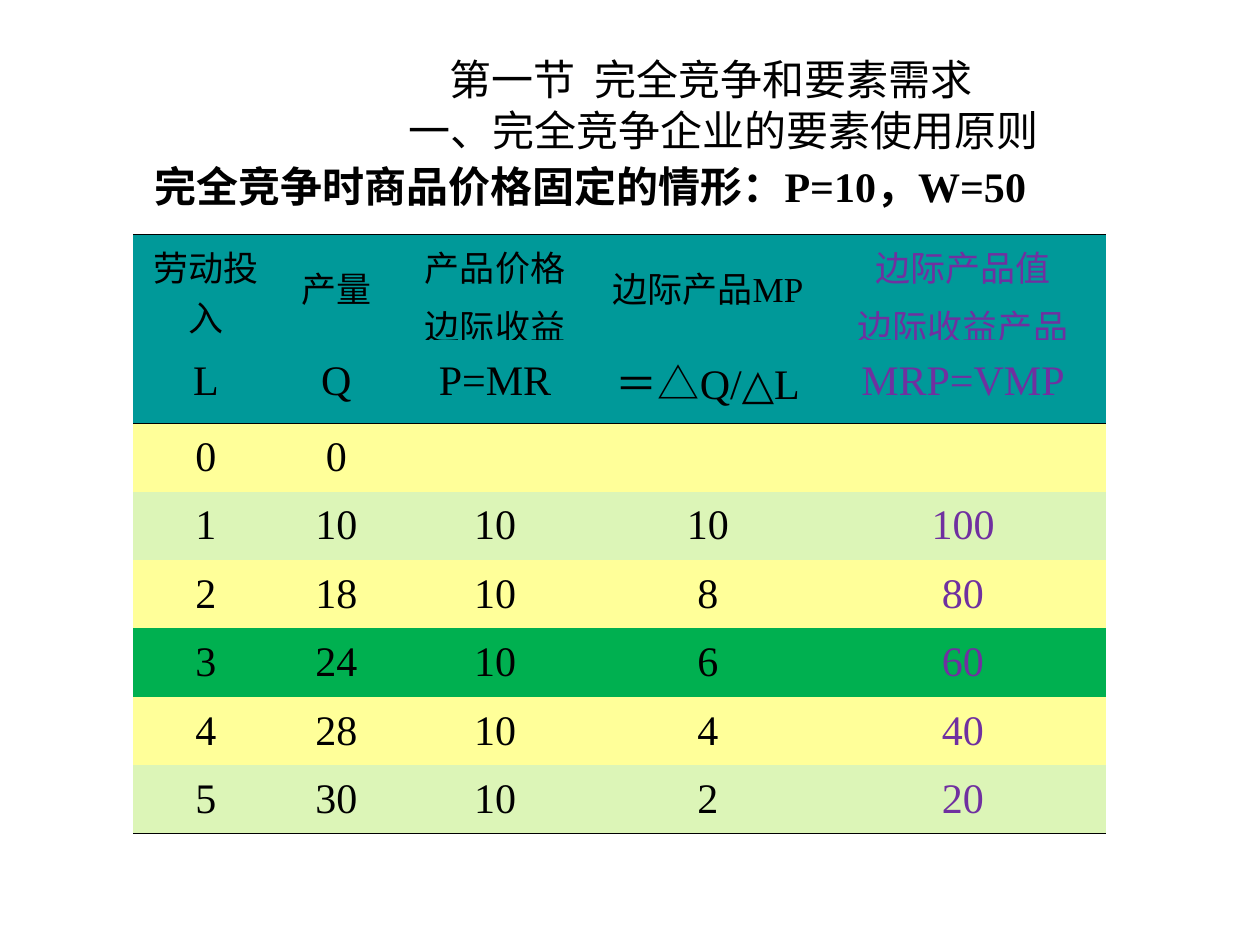
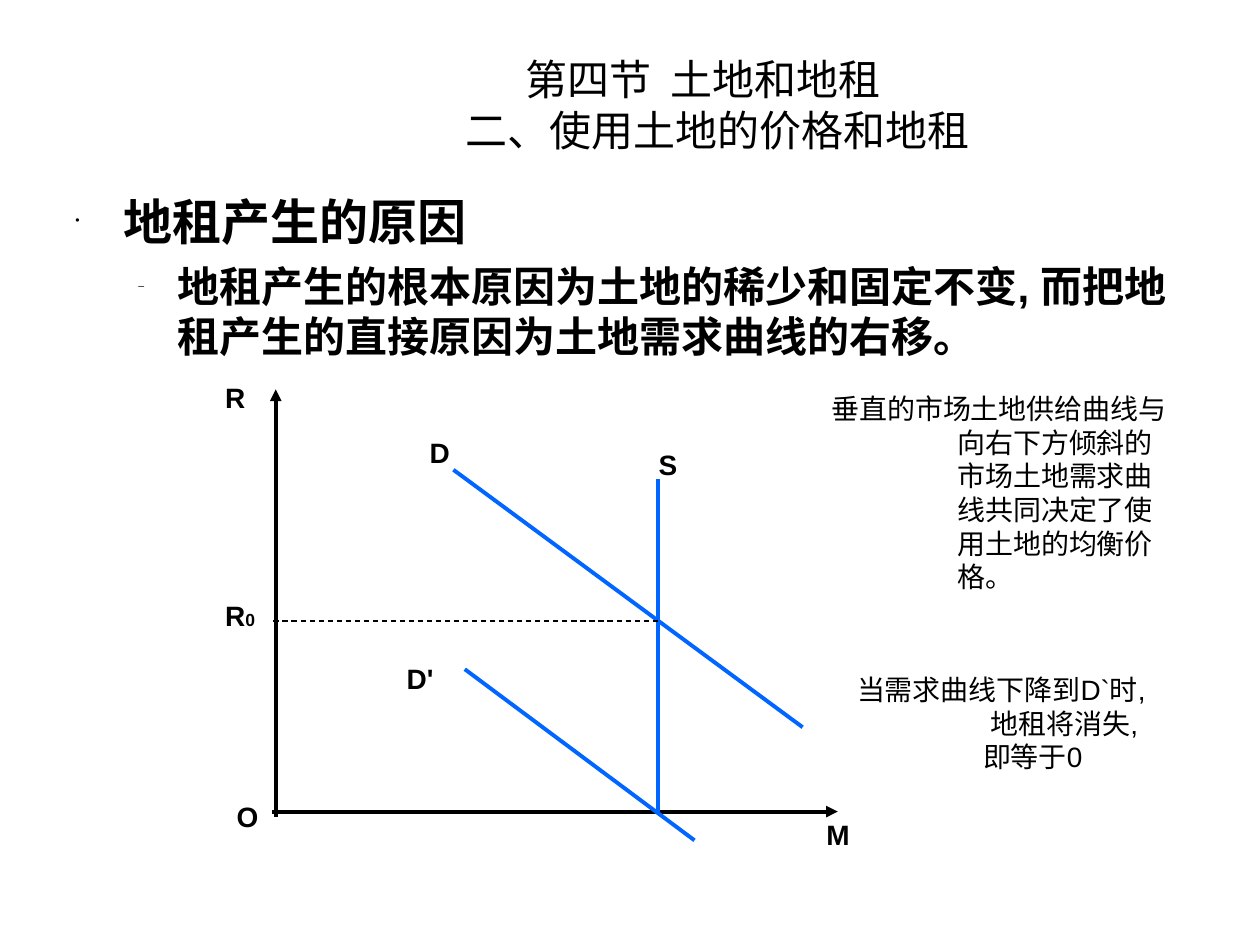
from pptx import Presentation
from pptx.dml.color import RGBColor
from pptx.enum.dml import MSO_LINE
from pptx.enum.shapes import MSO_CONNECTOR, MSO_SHAPE
from pptx.enum.text import MSO_ANCHOR, PP_ALIGN
from pptx.oxml.ns import qn
from pptx.util import Cm, Pt
from lxml.etree import SubElement

HUES = {
    "ink": "000000", "paper": "FFFFFF", "teal": "009999", "plum": "7030A0",
    "cream": "FFFF99", "mint": "DCF5B7", "green": "00B050", "blue": "0066FF",
}
SANS, SERIF, HAN = "Arial", "Times New Roman", "Noto Sans CJK SC"

TITLES = [
    [("第一节  完全竞争和要素需求", 7.54), ("一、完全竞争企业的要素使用原则", 6.71)],
    [("第四节  土地和地租", 9.07), ("二、使用土地的价格和地租", 7.87)],
]

CASE = "完全竞争时商品价格固定的情形：P=10，W=50"
HEADS = [
    ["劳动投入", "产量", "产品价格\n边际收益", "边际产品MP", "边际产品值\n边际收益产品"],
    ["L", "Q", "P=MR", "＝△Q/△L", "MRP=VMP"],
]
PRICE = 10
YIELDS = [0, 10, 18, 24, 28, 30]
BEST = 3
WIDTHS = [2.92, 2.34, 4.06, 4.52, 5.77]
TALLS = [2.13, 1.68] + [1.38] * len(YIELDS)

POINTS = [
    ("地租产生的原因", 28, 7, 0.97, -0.97, "•"),
    ("地租产生的根本原因为土地的稀少和固定不变, 而把地租产生的直接原因为土地需求曲线的右移。",
     24, 6, 2.06, -0.79, "–"),
]
LINES = [
    ((5.56, 16.46), (5.56, 7.85), "ink", 2.25, "arrow"),
    ((5.49, 16.36), (16.89, 16.36), "ink", 2.25, "arrow"),
    ((13.26, 9.65), (13.26, 16.36), "blue", 2.25, None),
    ((9.14, 9.47), (16.18, 14.66), "blue", 2.25, None),
    ((9.37, 13.49), (14, 16.94), "blue", 2.25, None),
    ((13.26, 12.52), (5.49, 12.52), "ink", 0.75, "dash"),
]
LABELS = [
    ("R", "", 4.29, 7.54), ("R", "0", 4.29, 11.94), ("O", "", 4.52, 16),
    ("M", "", 16.41, 16.36), ("S", "", 13.03, 8.89), ("D", "", 8.41, 8.66),
    ("D'", "", 7.95, 13.21),
]
NOTES = [
    ("垂直的市场土地供给曲线与向右下方倾斜的市场土地需求曲线共同决定了使用土地的均衡价格。",
     (16.28, 7.54, 7.92, 4.67), (-0.77, 0.46, 0.17)),
    ("当需求曲线下降到D`时, 地租将消失, 即等于0",
     (16.87, 13.28, 6.55, 3.2), (-1.02, 0.41, 0.17)),
]


def tint(name):
    return RGBColor.from_string(HUES[name])


def style(para, size, face=SANS, hue="ink", bold=False):
    for run in para.runs:
        font = run.font
        font.size, font.name, font.bold = Pt(size), face, bold
        font.color.rgb = tint(hue)
        SubElement(run._r.get_or_add_rPr(), qn("a:ea")).set("typeface", HAN)


def indent(para, left, first):
    props = para._p.get_or_add_pPr()
    props.set("marL", str(Cm(left)))
    props.set("indent", str(Cm(first)))
    return props


def textbox(slide, left, top, width, height):
    frame = slide.shapes.add_textbox(Cm(left), Cm(top), Cm(width), Cm(height)).text_frame
    frame.word_wrap = True
    return frame


def title(slide, rows):
    frame = textbox(slide, 1.27, 0.91, 22.86, 2.39)
    frame.vertical_anchor = MSO_ANCHOR.MIDDLE
    frame.text = "\n".join(text for text, left in rows)
    for para, (text, left) in zip(frame.paragraphs, rows):
        indent(para, left, 0)
        style(para, 24, HAN)


def edges(cell, top, base):
    props = cell._tc.get_or_add_tcPr()
    for spot, (side, width) in enumerate(zip("LRTB", (0, 0, top, base))):
        line = props.makeelement(qn("a:ln" + side), {"w": str(Pt(width))})
        props.insert(spot, line)
        if width:
            fill = SubElement(line, qn("a:solidFill"))
            SubElement(fill, qn("a:srgbClr")).set("val", HUES["ink"])
        else:
            SubElement(line, qn("a:noFill"))


def grid_rows():
    rows = HEADS + [[0, YIELDS[0], "", "", ""]]
    for count in range(1, len(YIELDS)):
        gain = YIELDS[count] - YIELDS[count - 1]
        rows.append([count, YIELDS[count], PRICE, gain, PRICE * gain])
    return rows


def row_hue(row):
    if row < len(HEADS):
        return "teal"
    count = row - len(HEADS)
    return "green" if count == BEST else ("cream", "mint")[count % 2]


def table(slide):
    rows = grid_rows()
    frame = slide.shapes.add_table(len(rows), len(WIDTHS), Cm(2.69), Cm(4.72),
                                   Cm(sum(WIDTHS)), Cm(sum(TALLS)))
    grid = frame.table
    grid.first_row = grid.horz_banding = False
    for col, width in zip(grid.columns, WIDTHS):
        col.width = Cm(width)
    for row, tall in zip(grid.rows, TALLS):
        row.height = Cm(tall)
    tops = {0: 0.45, 2: 0.45}
    bases = {1: 0.45, len(rows) - 1: 1.08}
    for r, values in enumerate(rows):
        for c, value in enumerate(values):
            cell = grid.cell(r, c)
            cell.text_frame.text = str(value)
            cell.vertical_anchor = MSO_ANCHOR.MIDDLE
            cell.fill.solid()
            cell.fill.fore_color.rgb = tint(row_hue(r))
            edges(cell, tops.get(r, 0), bases.get(r, 0))
            for para in cell.text_frame.paragraphs:
                para.alignment = PP_ALIGN.CENTER
                para.space_before = Pt(6 if r else 5)
                style(para, 24 if r else 20, SERIF, "plum" if c == 4 else "ink")


def case(slide):
    frame = textbox(slide, 1.5, 3.12, 20.8, 1.27)
    frame.text = CASE
    para = frame.paragraphs[0]
    para.alignment = PP_ALIGN.CENTER
    para.space_before = Pt(6)
    indent(para, 2.54, -2.54)
    style(para, 24, SERIF, bold=True)


def points(slide):
    frame = textbox(slide, 1.27, 3.73, 22.86, 13.28)
    frame.text = "\n".join(point[0] for point in POINTS)
    for para, (text, size, gap, left, first, mark) in zip(frame.paragraphs, POINTS):
        para.space_before = Pt(gap)
        props = indent(para, left, first)
        hue = SubElement(props, qn("a:buClr"))
        SubElement(hue, qn("a:srgbClr")).set("val", HUES["ink"])
        SubElement(props, qn("a:buSzPct")).set("val", "25000")
        SubElement(props, qn("a:buFont")).set("typeface", SANS)
        SubElement(props, qn("a:buChar")).set("char", mark)
        style(para, size, bold=True)


def stroke(slide, start, end, hue, width, kind):
    ends = [Cm(n) for n in start + end]
    link = slide.shapes.add_connector(MSO_CONNECTOR.STRAIGHT, *ends)
    link.line.color.rgb = tint(hue)
    link.line.width = Pt(width)
    if kind == "dash":
        link.line.dash_style = MSO_LINE.DASH
    if kind == "arrow":
        SubElement(link.line._get_or_add_ln(), qn("a:tailEnd")).set("type", "triangle")
    SubElement(link._element.spPr, qn("a:effectLst"))


def label(slide, text, sub, left, top):
    frame = textbox(slide, left, top, 1.8, 0.94)
    frame.text = text
    para = frame.paragraphs[0]
    if sub:
        para.add_run().text = sub
    style(para, 16, bold=True)
    if sub:
        para.runs[1].font.size = Pt(10)


def note(slide, text, place, bends):
    shape = slide.shapes.add_shape(MSO_SHAPE.ROUNDED_RECTANGULAR_CALLOUT,
                                   *[Cm(n) for n in place])
    for spot, bend in enumerate(bends):
        shape.adjustments[spot] = bend
    shape.shadow.inherit = False
    shape.fill.solid()
    shape.fill.fore_color.rgb = tint("paper")
    shape.line.fill.background()
    frame = shape.text_frame
    frame.word_wrap = True
    frame.vertical_anchor = MSO_ANCHOR.TOP
    frame.text = text
    para = frame.paragraphs[0]
    para.alignment = PP_ALIGN.LEFT
    indent(para, 2.54, -2.54)
    style(para, 16)


def main():
    deck = Presentation()
    deck.slide_width, deck.slide_height = Cm(25.4), Cm(19.05)
    first, second = [deck.slides.add_slide(deck.slide_layouts[6]) for rows in TITLES]
    for slide, rows in zip((first, second), TITLES):
        title(slide, rows)
    table(first)
    case(first)
    points(second)
    for line in LINES:
        stroke(second, *line)
    for item in LABELS:
        label(second, *item)
    for item in NOTES:
        note(second, *item)
    deck.save("out.pptx")


if __name__ == "__main__":
    main()
